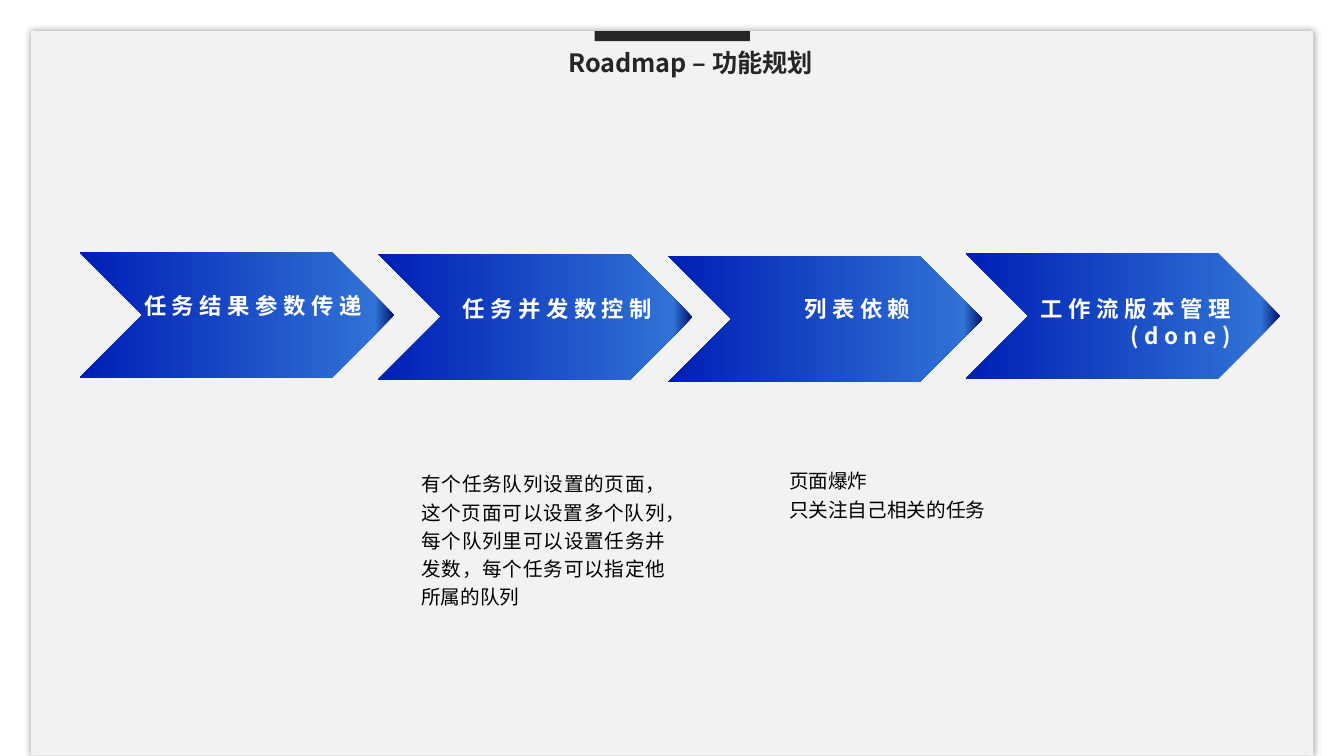
from lxml import etree
from pptx import Presentation
from pptx.dml.color import RGBColor
from pptx.enum import shapes, text
from pptx.oxml import parse_xml
from pptx.oxml.ns import nsdecls, qn
from pptx.util import Pt

PANEL = RGBColor(0xF2, 0xF2, 0xF2)
DARK = RGBColor(0x26, 0x26, 0x26)
WHITE = RGBColor(0xFF, 0xFF, 0xFF)
BLACK = RGBColor(0x00, 0x00, 0x00)
NAVY = RGBColor(0x00, 0x12, 0x6B)
SKY = RGBColor(0x30, 0x72, 0xD5)
BLUE = RGBColor(0x00, 0x1F, 0xB5)
ALIGN = text.PP_ALIGN
SHAPE = shapes.MSO_SHAPE


def write(tf, content, size=16, color=WHITE, bold=False, align=ALIGN.LEFT,
          spacing=0, indent=0, line=1.0):
    tf.word_wrap = True
    tf.auto_size = text.MSO_AUTO_SIZE.NONE
    tf.vertical_anchor = text.MSO_ANCHOR.TOP
    for i, words in enumerate(content.split("\n")):
        p = tf.add_paragraph() if i else tf.paragraphs[0]
        p.alignment = align
        p.line_spacing = line
        if indent:
            p.level = 1
            pPr = p._p.get_or_add_pPr()
            pPr.set("marL", str(Pt(indent)))
            pPr.set("indent", "0")
        r = p.add_run()
        r.text = words
        r.font.size = Pt(size)
        r.font.bold = bold
        r.font.color.rgb = color
        r.font.name = Style.font
        rPr = r._r.get_or_add_rPr()
        etree.SubElement(rPr, qn("a:ea"), typeface=Style.font)
        if spacing:
            rPr.set("spc", str(spacing * 100))


class Style:
    font = "Noto Sans CJK SC"

    def __init__(self, slide):
        self.s = slide

    def shape(self, kind, x, y, w, h, fill=None):
        sp = self.s.shapes.add_shape(kind, Pt(x), Pt(y), Pt(w), Pt(h))
        sp.shadow.inherit = False
        sp.line.fill.background()
        if fill is not None:
            sp.fill.solid()
            sp.fill.fore_color.rgb = fill
        return sp

    def panel(self, x, y, w, h):
        sp = self.shape(SHAPE.RECTANGLE, x, y, w, h, PANEL)
        effects = sp._element.spPr.find(qn("a:effectLst"))
        effects.append(parse_xml(
            f'<a:outerShdw {nsdecls("a")} blurRad="{Pt(5)}" dist="0" dir="0" '
            'algn="ctr" rotWithShape="0"><a:srgbClr val="000000">'
            '<a:alpha val="40000"/></a:srgbClr></a:outerShdw>'))

    def chevron(self, x, y):
        sp = self.shape(SHAPE.CHEVRON, x, y, 224.6, 90)
        sp.fill.gradient()
        sp.fill.gradient_angle = 180
        stops = sp._element.spPr.find(qn("a:gradFill")).find(qn("a:gsLst"))
        for gs in list(stops):
            stops.remove(gs)
        for pos, color in ((0, NAVY), (6, SKY), (100, BLUE)):
            gs = etree.SubElement(stops, qn("a:gs"), pos=str(pos * 1000))
            etree.SubElement(gs, qn("a:srgbClr"), val=str(color))

    def title(self, content, x, y, w, h):
        sp = self.s.shapes.title
        sp.left, sp.top, sp.width, sp.height = Pt(x), Pt(y), Pt(w), Pt(h)
        self.s.shapes._spTree.append(sp._element)
        write(sp.text_frame, content, size=18, color=DARK, bold=True,
              align=ALIGN.CENTER)

    def text(self, content, x, y, w, h, **fmt):
        sp = self.s.shapes.add_textbox(Pt(x), Pt(y), Pt(w), Pt(h))
        write(sp.text_frame, content, **fmt)


def main():
    prs = Presentation()
    prs.slide_width, prs.slide_height = Pt(960), Pt(540)
    page = Style(prs.slides.add_slide(prs.slide_layouts[5]))

    page.panel(22.3, 22.3, 915.8, 517.7 - 0.3)
    page.shape(SHAPE.RECTANGLE, 424.8, 22.3, 110.9, 7.2, DARK)
    page.title("Roadmap – 功能规划", 362.2, 30.2, 262.1, 28.8)

    details = (
        ("有个任务队列设置的页面，这个页面可以设置多个队列，"
         "每个队列里可以设置任务并发数，每个任务可以指定他所属的队列",
         257.8, 330.5, 224.6, 107.3),
        ("页面爆炸\n只关注自己相关的任务", 520.6, 328.3, 197.3, 46.1),
    )
    for content, x, y, w, h in details:
        page.text(content, x, y, w, h, size=14, color=BLACK,
                  align=ALIGN.JUSTIFY, indent=36, line=1.2)

    steps = (
        ("任务结果参数传递", 56.9, 180, 95.8, 205.2, 193.7, 26.6, ALIGN.LEFT),
        ("任务并发数控制", 270, 181.4, 323.3, 207.4, 169.9, 26.6, ALIGN.LEFT),
        ("列表依赖", 477.4, 182.9, 567.4, 207.4, 133.9, 26.6, ALIGN.LEFT),
        ("工作流版本管理\n(done)", 689.8, 180.7, 727.9, 207.4, 158.4, 46.1,
         ALIGN.RIGHT),
    )
    for content, left, top, x, y, w, h, align in steps:
        page.chevron(left, top)
        page.text(content, x, y, w, h, bold=True, spacing=4, align=align)

    prs.save("out.pptx")


if __name__ == "__main__":
    main()
